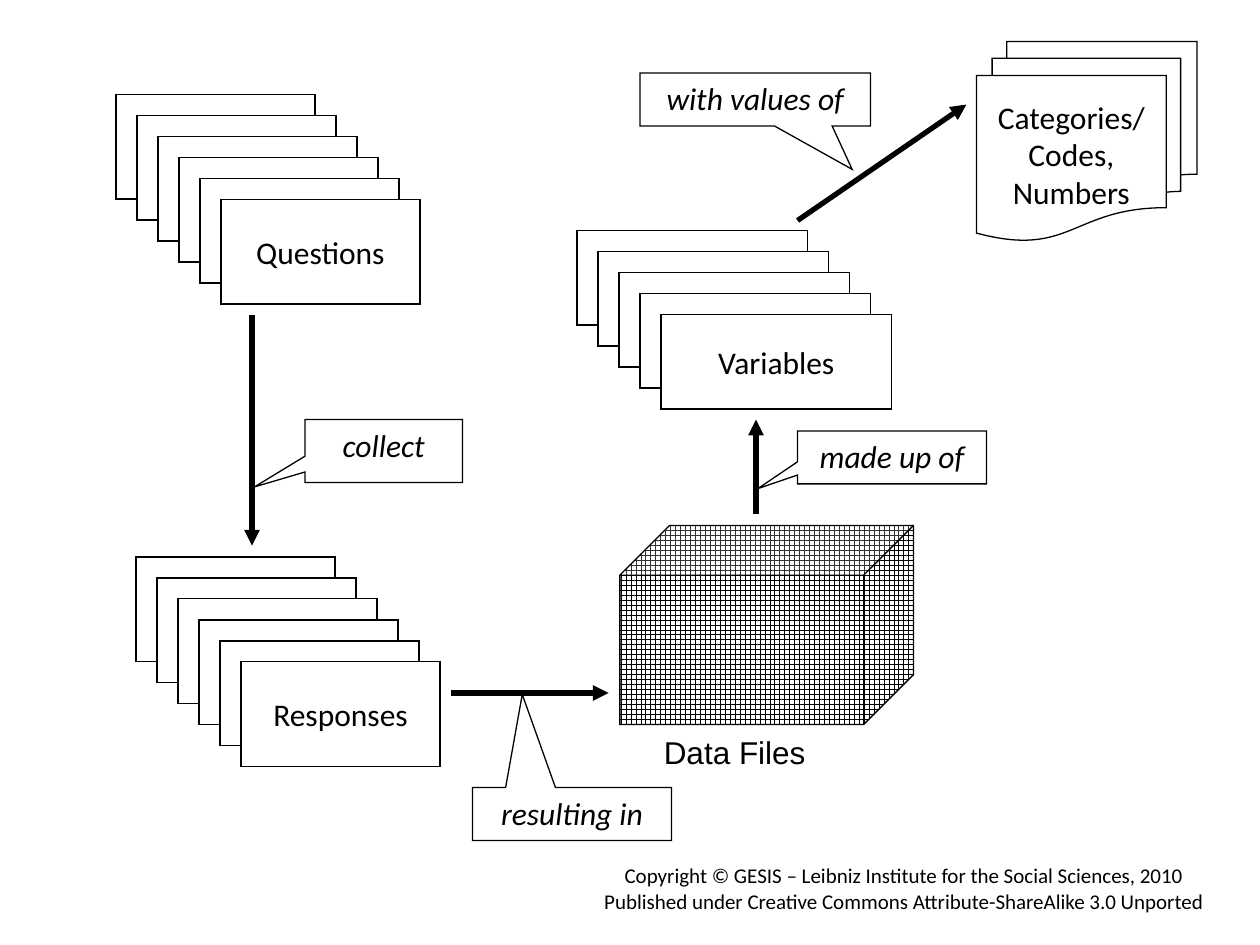
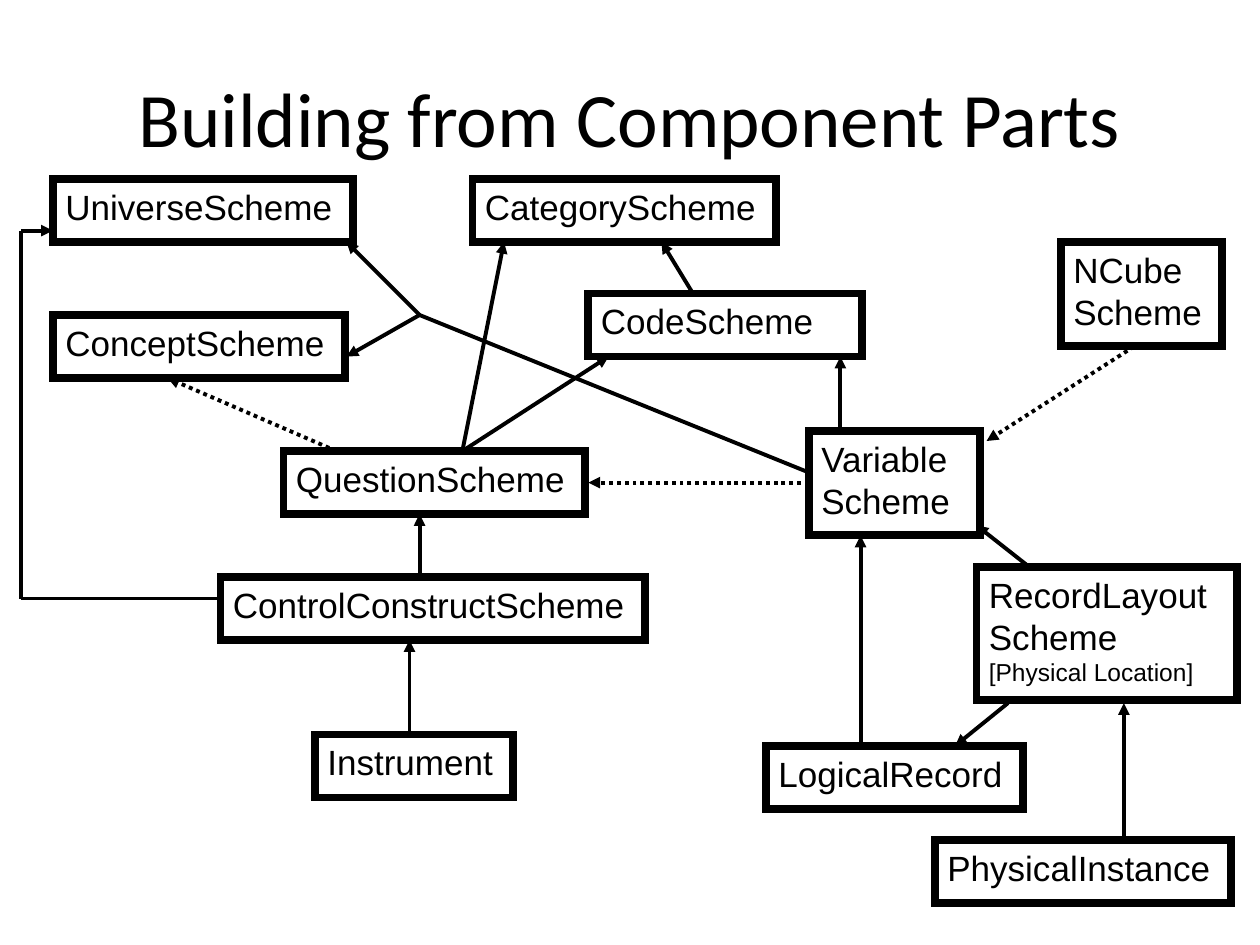
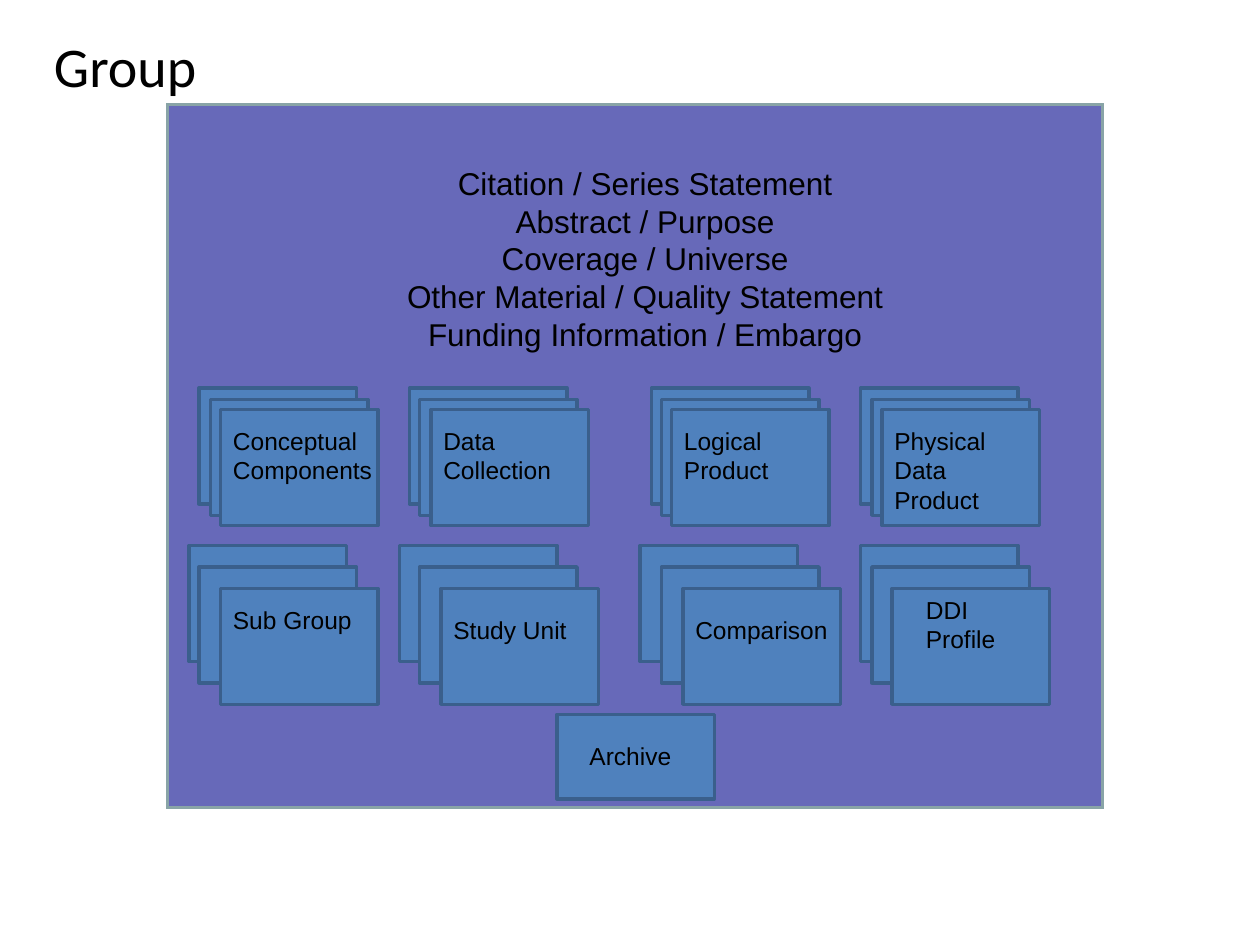
"""Build three slides on survey data flow, component schemes and groups."""
import pptx
import pptx.util
import pptx.dml.color
import pptx.enum.dml
import pptx.enum.shapes
import pptx.enum.text
import pptx.oxml.ns
import lxml.etree

Inches = pptx.util.Inches
SHAPE = pptx.enum.shapes.MSO_SHAPE
ALIGN = pptx.enum.text.PP_ALIGN
ANCHOR = pptx.enum.text.MSO_ANCHOR
DASH = pptx.enum.dml.MSO_LINE
qn = pptx.oxml.ns.qn

COLORS = {
    name: pptx.dml.color.RGBColor.from_string(value)
    for name, value in {
        "ink": "000000",
        "paper": "FFFFFF",
        "panel": "6769B9",
        "panel_edge": "89A4A7",
        "card": "4F81BD",
        "card_edge": "3A5F8C",
    }.items()
}


def add_box(page, kind, bounds, text="", size=18, font="Calibri", align=ALIGN.CENTER,
            anchor=ANCHOR.MIDDLE, wrap=False, italic=False,
            fill="paper", edge="ink", width=0.75):
    """Add a preset shape, or a plain text box when kind is None."""
    place = [Inches(value) for value in bounds]
    if kind is None:
        box = page.shapes.add_textbox(*place)
    else:
        box = page.shapes.add_shape(kind, *place)
        box.shadow.inherit = False
        if fill:
            box.fill.solid()
            box.fill.fore_color.rgb = COLORS[fill]
        else:
            box.fill.background()
        box.line.color.rgb = COLORS[edge]
        box.line.width = pptx.util.Pt(width)
        if edge != "card_edge":
            outline = box._element.spPr.find(qn("a:ln"))
            lxml.etree.SubElement(outline, qn("a:miter"), lim="800000")
    if text:
        frame = box.text_frame
        frame.text = text
        frame.word_wrap = wrap
        frame.vertical_anchor = anchor
        for para in frame.paragraphs:
            para.alignment = align
            for span in para.runs:
                span.font.name = font
                span.font.size = pptx.util.Pt(size)
                span.font.italic = italic
                span.font.color.rgb = COLORS["ink"]
    return box


def add_line(page, start, end, width, arrow=True, dash=None):
    """Add a straight black line, by default with an arrowhead at its end."""
    line = page.shapes.add_connector(
        pptx.enum.shapes.MSO_CONNECTOR.STRAIGHT,
        *[Inches(value) for value in (*start, *end)])
    line.line.color.rgb = COLORS["ink"]
    line.line.width = pptx.util.Pt(width)
    if dash:
        line.line.dash_style = dash
    properties = line._element.spPr
    if arrow:
        lxml.etree.SubElement(properties.find(qn("a:ln")), qn("a:tailEnd"), type="triangle")
    lxml.etree.SubElement(properties, qn("a:effectLst"))


deck = pptx.Presentation()
deck.slide_width = Inches(10)
deck.slide_height = Inches(7.5)
blank = deck.slide_layouts[6]

flow = deck.slides.add_slide(blank)
STACK_STEP = 1 / 6
stacks = [
    ("Questions", 0.92, 0.75, 1.58, 0.83, 6),
    ("Responses", 1.08, 4.42, 1.58, 0.83, 6),
    ("Variables", 4.58, 1.83, 1.83, 0.75, 5),
]
for label, left, top, width, height, count in stacks:
    for index in range(count):
        shift = index * STACK_STEP
        add_box(flow, SHAPE.RECTANGLE, (left + shift, top + shift, width, height),
                label if index == count - 1 else "")

cube = add_box(flow, SHAPE.CUBE, (4.92, 4.17, 2.33, 1.58))
cube.adjustments[0] = 0.25
cube.fill.patterned()
cube.fill.pattern = pptx.enum.dml.MSO_PATTERN.LARGE_GRID
cube.fill.fore_color.rgb = COLORS["ink"]
cube.fill.back_color.rgb = COLORS["paper"]
add_box(flow, None, (5.17, 5.77, 1.67, 0.4), "Data Files", font="Arial",
        align=ALIGN.LEFT, anchor=ANCHOR.TOP, wrap=True)
add_box(flow, SHAPE.FLOWCHART_MULTIDOCUMENT, (7.75, 0.33, 1.75, 1.58),
        "Categories/\nCodes,\nNumbers")

for start, end in [
    ((2, 2.5), (2, 4.33)),
    ((3.58, 5.5), (4.83, 5.5)),
    ((6, 4.08), (6, 3.33)),
    ((6.33, 1.75), (7.67, 0.83)),
]:
    add_line(flow, start, end, 3)

callouts = [
    ("collect", (2.42, 3.33, 1.25, 0.5), (-0.82, 0.57)),
    ("resulting in", (3.75, 6.25, 1.58, 0.42), (-0.25, -2.26)),
    ("made up of", (6.33, 3.42, 1.5, 0.42), (-0.71, 0.59)),
    ("with values of", (5.08, 0.58, 1.83, 0.42), (0.42, 1.32)),
]
for label, bounds, tip in callouts:
    callout = add_box(flow, SHAPE.RECTANGULAR_CALLOUT, bounds, label,
                      anchor=ANCHOR.TOP, wrap=True, italic=True)
    callout.adjustments[0], callout.adjustments[1] = tip

add_box(flow, None, (4.67, 6.8, 5.01, 0.51),
        "Copyright © GESIS – Leibniz Institute for the Social Sciences, 2010\n"
        "Published under Creative Commons Attribute-ShareAlike 3.0 Unported",
        size=12, anchor=ANCHOR.TOP)

parts = deck.slides.add_slide(blank)
add_box(parts, None, (0.5, 0.3, 9, 1.25), "Building from Component Parts", size=44, wrap=True)

schemes = [
    ("UniverseScheme", 0.42, 1.42, 2.38, 0.5),
    ("ConceptScheme", 0.42, 2.5, 2.32, 0.5),
    ("CategoryScheme", 3.75, 1.42, 2.41, 0.5),
    ("CodeScheme", 4.67, 2.33, 2.17, 0.5),
    ("QuestionScheme", 2.25, 3.58, 2.39, 0.5),
    ("Instrument", 2.5, 5.83, 1.57, 0.5),
    ("Variable\nScheme", 6.42, 3.42, 1.36, 0.83),
    ("NCube\nScheme", 8.42, 1.92, 1.28, 0.83),
    ("ControlConstructScheme", 1.75, 4.58, 3.37, 0.5),
    ("LogicalRecord", 6.08, 5.92, 2.04, 0.5),
    ("PhysicalInstance", 7.42, 6.67, 2.35, 0.5),
    ("RecordLayout\nScheme\n[Physical Location]", 7.75, 4.5, 2.07, 1.06),
]
for label, *bounds in schemes:
    scheme = add_box(parts, SHAPE.RECTANGLE, bounds, label, size=20, font="Arial",
                     align=ALIGN.LEFT, anchor=ANCHOR.TOP, wrap=label == "CodeScheme",
                     fill=None, width=4.5)
    for para in scheme.text_frame.paragraphs:
        if para.text.startswith("["):
            para.runs[0].font.size = pptx.util.Pt(14)

solid_arrows = [
    ((5.5, 2.33), (5.25, 1.92)),
    ((3.67, 3.58), (4.83, 2.83)),
    ((3.67, 3.58), (4, 1.92)),
    ((3.33, 4.58), (3.33, 4.08)),
    ((3.25, 5.83), (3.25, 5.08)),
    ((3.33, 2.5), (2.75, 1.92)),
    ((3.33, 2.5), (2.75, 2.83)),
    ((6.67, 3.42), (6.67, 2.83)),
    ((0.17, 1.83), (0.42, 1.83)),
    ((8.17, 4.5), (7.75, 4.17)),
    ((8, 5.58), (7.58, 5.92)),
    ((6.83, 5.92), (6.83, 4.25)),
    ((8.92, 6.67), (8.92, 5.58)),
]
dotted_arrows = [
    ((6.42, 3.83), (4.67, 3.83)),
    ((2.67, 3.58), (1.33, 3)),
    ((9, 2.75), (7.83, 3.5)),
]
plain_lines = [
    ((3.33, 2.5), (6.42, 3.75)),
    ((0.17, 4.75), (1.75, 4.75)),
    ((0.17, 1.83), (0.17, 4.75)),
]
for links, arrow, dash in [
    (solid_arrows, True, None),
    (dotted_arrows, True, DASH.ROUND_DOT),
    (plain_lines, False, None),
]:
    for start, end in links:
        add_line(parts, start, end, 2.25, arrow, dash)

group = deck.slides.add_slide(blank)
add_box(group, SHAPE.RECTANGLE, (1.33, 0.83, 7.42, 5.58),
        fill="panel", edge="panel_edge", width=2)
add_box(group, None, (0.33, 0.2, 9, 0.63), "Group", size=32,
        align=ALIGN.LEFT, anchor=ANCHOR.TOP, wrap=True)
add_box(group, None, (2.08, 1.25, 6.08, 1.62),
        "Citation / Series Statement\nAbstract / Purpose\nCoverage / Universe\n"
        "Other Material / Quality Statement\nFunding Information / Embargo",
        font="Arial", anchor=ANCHOR.TOP, wrap=True)

upper_tops = (3.08, 3.17, 3.25)
lower_tops = (4.33, 4.5, 4.67)
modules = [
    ("Conceptual\nComponents", (1.58, 1.67, 1.75), upper_tops, 0.92, (1.75, 3.33, 1.31, 0.57)),
    ("Data\nCollection", (3.25, 3.33, 3.42), upper_tops, 0.92, (3.42, 3.33, 1.06, 0.57)),
    ("Logical\nProduct", (5.17, 5.25, 5.33), upper_tops, 0.92, (5.33, 3.33, 0.88, 0.57)),
    ("Physical\nData\nProduct", (6.83, 6.92, 7), upper_tops, 0.92, (7, 3.33, 1.4, 0.81)),
    ("Sub Group", (1.5, 1.58, 1.75), lower_tops, 0.92, (1.75, 4.75, 1.15, 0.34)),
    ("Study Unit", (3.17, 3.33, 3.5), lower_tops, 0.92, (3.5, 4.83, 1.11, 0.34)),
    ("Comparison", (5.08, 5.25, 5.42), lower_tops, 0.92, (5.42, 4.83, 1.26, 0.34)),
    ("DDI\nProfile", (6.83, 6.92, 7.08), lower_tops, 0.92, (7.25, 4.67, 0.76, 0.57)),
    ("Archive", (4.42,), (5.67,), 0.67, (4.58, 5.83, 0.86, 0.34)),
]
for label, lefts, tops, height, label_bounds in modules:
    for left, top in zip(lefts, tops):
        add_box(group, SHAPE.RECTANGLE, (left, top, 1.25, height),
                fill="card", edge="card_edge", width=2)
    add_box(group, None, label_bounds, label, size=14, font="Arial",
            align=ALIGN.LEFT, anchor=ANCHOR.TOP, wrap=label.startswith("Physical"))

deck.save("out.pptx")
